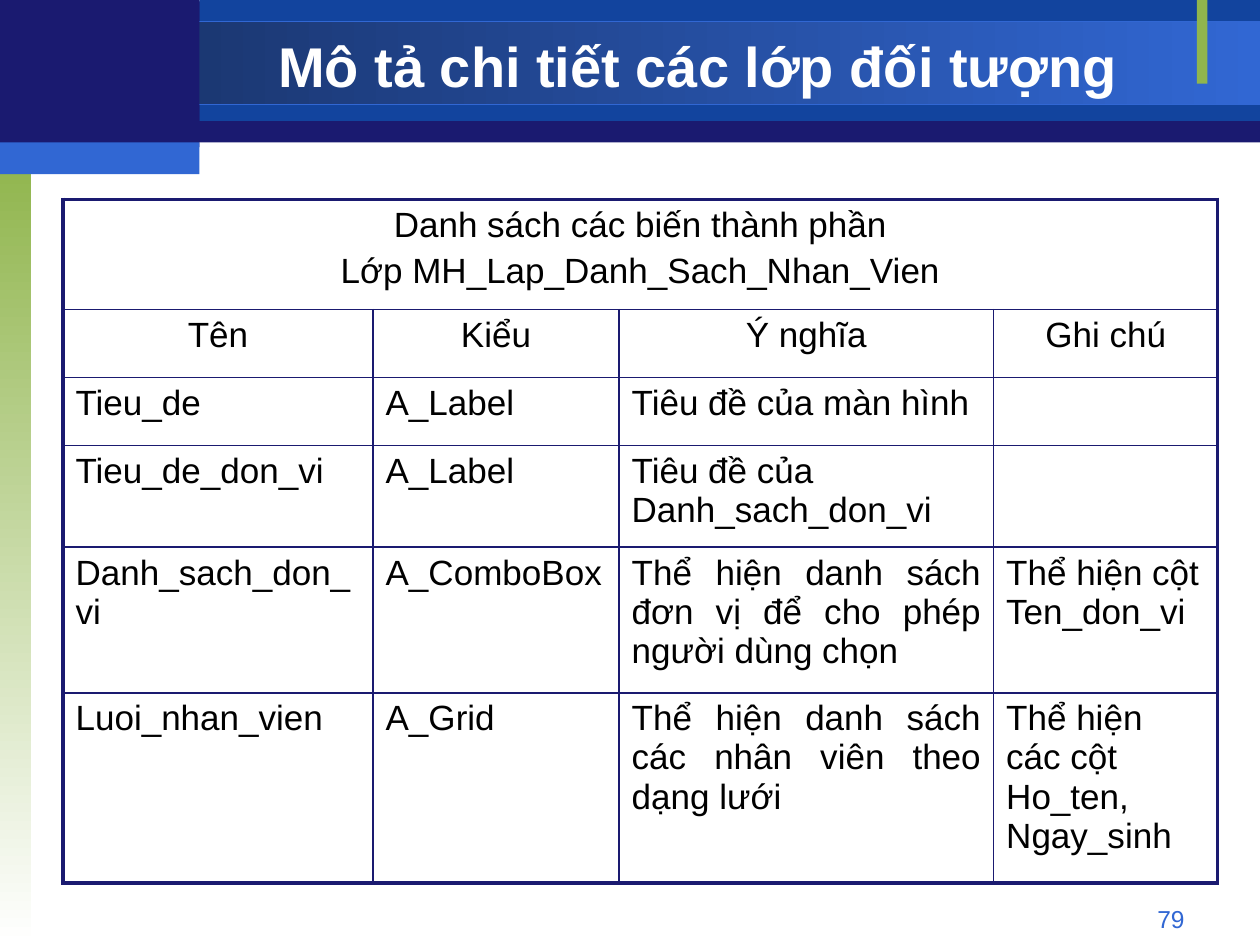
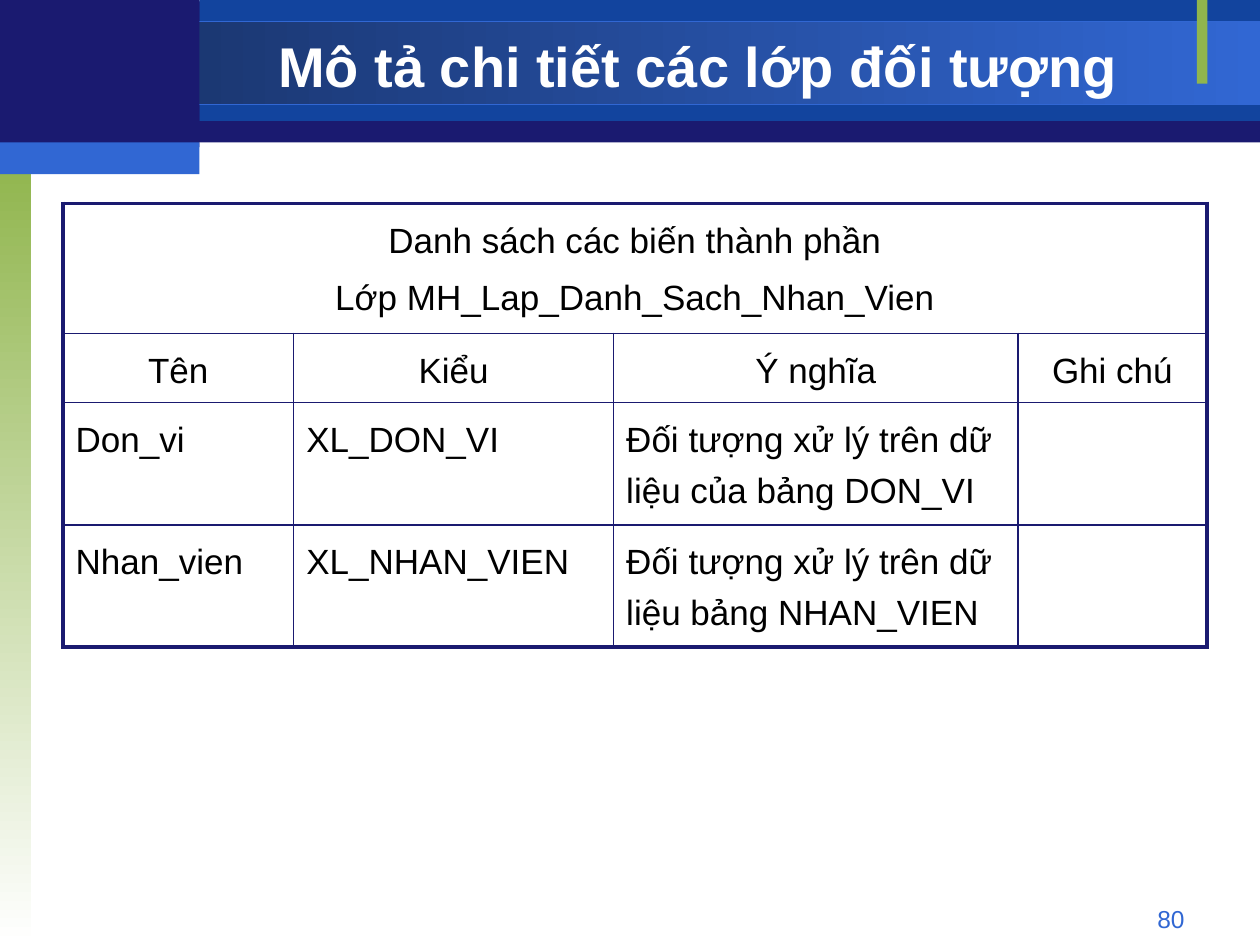
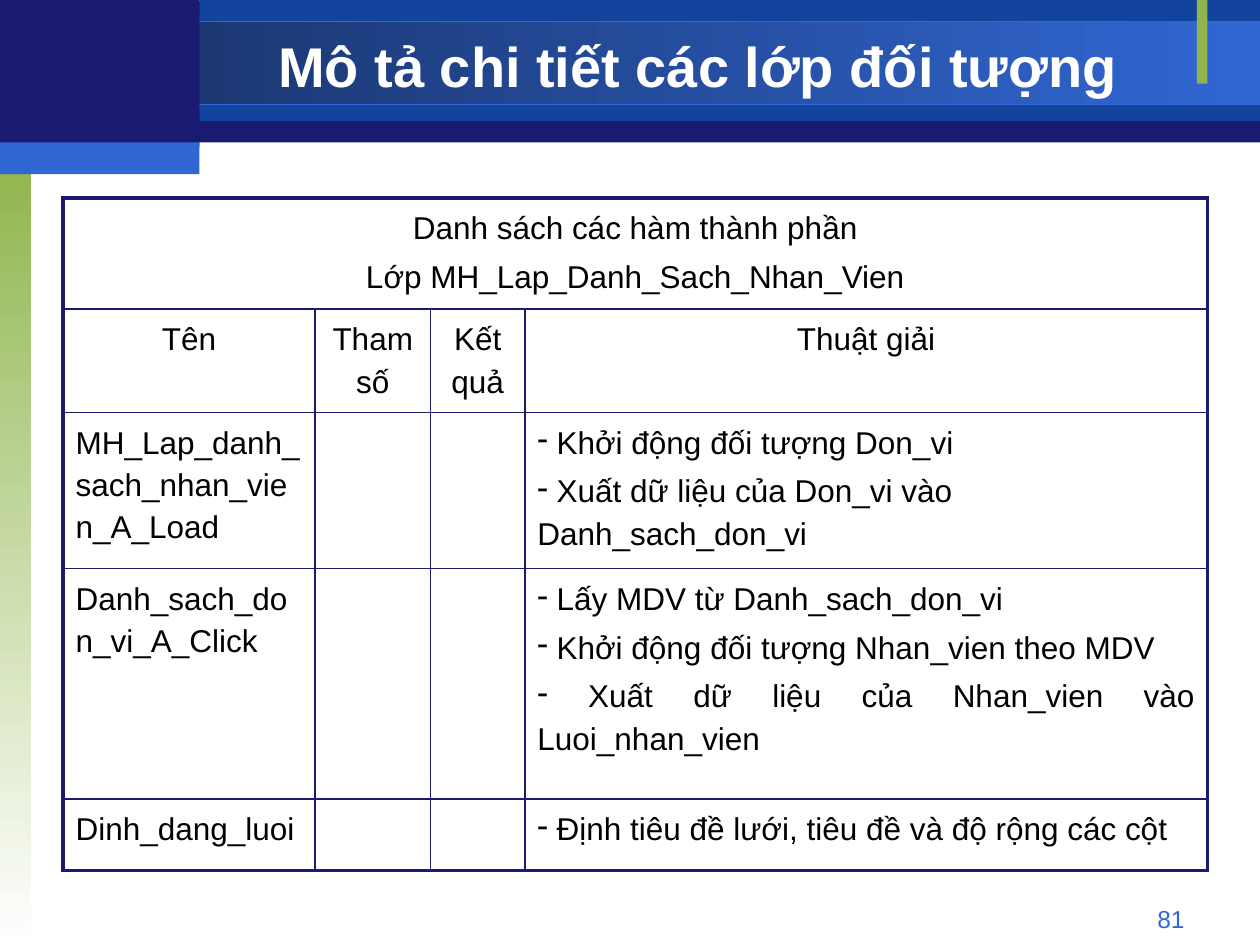
from dataclasses import dataclass

from lxml.etree import SubElement
from pptx import Presentation
from pptx.dml.color import RGBColor
from pptx.enum.shapes import MSO_SHAPE
from pptx.enum.text import MSO_ANCHOR, PP_ALIGN
from pptx.oxml import parse_xml
from pptx.oxml.ns import nsdecls, qn
from pptx.util import Cm, Pt

NAVY = RGBColor(0x1A, 0x1A, 0x70)
ROYAL = RGBColor(0x12, 0x44, 0x9E)
DEEP_BLUE = RGBColor(0x17, 0x2F, 0x61)
BLUE = RGBColor(0x31, 0x67, 0xD3)
GREEN = RGBColor(0x90, 0xB5, 0x4D)
WHITE = RGBColor(0xFF, 0xFF, 0xFF)
BLACK = RGBColor(0x00, 0x00, 0x00)

FONT = "Arial"
PAGE_WIDTH, PAGE_HEIGHT = 25.4, 19.05
CORNER_WIDTH = 4.02
TITLE = "Mô tả chi tiết các lớp đối tượng"
CLASS_NAME = "Lớp MH_Lap_Danh_Sach_Nhan_Vien"
FIRST_NUMBER = 79
THIN, THICK = Pt(1), Pt(2.25)


@dataclass
class ClassTable:
    """Content and measures of one class description; lengths in centimetres."""

    top: float
    widths: list
    heights: list
    rows: list
    justified: set
    size: int = 20
    spacing: float = 1.0


VARIABLES_HEAD = ["Tên", "Kiểu", "Ý nghĩa", "Ghi chú"]
VARIABLES_CAPTION = ["Danh sách các biến thành phần\n" + CLASS_NAME, "", "", ""]

TABLES = [
    ClassTable(
        top=4.02,
        widths=[6.25, 4.96, 7.55, 4.52],
        heights=[2.22, 1.37, 1.37, 2.05, 2.94, 3.83],
        rows=[
            VARIABLES_CAPTION,
            VARIABLES_HEAD,
            ["Tieu_de", "A_Label", "Tiêu đề của màn hình", ""],
            ["Tieu_de_don_vi", "A_Label", "Tiêu đề của Danh_sach_don_vi", ""],
            ["Danh_sach_don_vi", "A_ComboBox",
             "Thể hiện danh sách đơn vị để cho phép người dùng chọn",
             "Thể hiện cột Ten_don_vi"],
            ["Luoi_nhan_vien", "A_Grid",
             "Thể hiện danh sách các nhân viên theo dạng lưới",
             "Thể hiện các cột Ho_ten, Ngay_sinh"],
        ],
        justified={(4, 2), (5, 2)},
    ),
    ClassTable(
        top=4.1,
        widths=[4.65, 6.45, 8.15, 3.81],
        heights=[2.62, 1.4, 2.46, 2.46],
        rows=[
            VARIABLES_CAPTION,
            VARIABLES_HEAD,
            ["Don_vi", "XL_DON_VI",
             "Đối tượng xử lý trên dữ liệu của bảng DON_VI", ""],
            ["Nhan_vien", "XL_NHAN_VIEN",
             "Đối tượng xử lý trên dữ liệu bảng NHAN_VIEN", ""],
        ],
        justified=set(),
        spacing=1.3,
    ),
    ClassTable(
        top=3.99,
        widths=[5.08, 2.33, 1.9, 13.76],
        heights=[2.24, 2.08, 3.15, 4.64, 1.45],
        rows=[
            ["Danh sách các hàm thành phần\n" + CLASS_NAME, "", "", ""],
            ["Tên", "Tham số", "Kết quả", "Thuật giải"],
            ["MH_Lap_danh_sach_nhan_vien_A_Load", "", "",
             "- Khởi động đối tượng Don_vi\n"
             "- Xuất dữ liệu của Don_vi vào Danh_sach_don_vi"],
            ["Danh_sach_don_vi_A_Click", "", "",
             "- Lấy MDV từ Danh_sach_don_vi\n"
             "- Khởi động đối tượng Nhan_vien theo MDV\n"
             "- Xuất dữ liệu của Nhan_vien vào Luoi_nhan_vien"],
            ["Dinh_dang_luoi", "", "",
             "- Định tiêu đề lưới, tiêu đề và độ rộng các cột"],
        ],
        justified={(3, 3), (4, 3)},
        size=18,
        spacing=1.2,
    ),
]


def style_font(paragraph, size, color, bold=False):
    """Set the font of a whole paragraph."""
    font = paragraph.font
    font.name, font.size, font.bold = FONT, Pt(size), bold
    font.color.rgb = color


def add_band(page, left, top, width, height, color, fade=None, angle=0):
    """Add a rectangle, plain or fading from color to fade."""
    band = page.shapes.add_shape(
        MSO_SHAPE.RECTANGLE, Cm(left), Cm(top), Cm(width), Cm(height))
    band.shadow.inherit = False
    band.line.fill.background()
    if fade is None:
        band.fill.solid()
        band.fill.fore_color.rgb = color
    else:
        band.fill.gradient()
        band.fill.gradient_angle = angle
        for stop, shade in zip(band.fill.gradient_stops, (color, fade)):
            stop.color.rgb = shade
    return band


def add_frame(page):
    """Draw the header bands, the corner block and the fading side strip."""
    add_band(page, 0, 0.03, PAGE_WIDTH, 2.84, NAVY)
    add_band(page, CORNER_WIDTH, 0, PAGE_WIDTH - CORNER_WIDTH, 2.44, ROYAL)
    title_band = add_band(page, 0, 0.43, PAGE_WIDTH, 1.68, DEEP_BLUE, BLUE)
    title_band.line.color.rgb = BLUE
    title_band.line.width = Pt(0.75)
    add_band(page, 0, 3.18, 0.63, PAGE_HEIGHT - 3.18, GREEN, WHITE, 270)
    add_band(page, 24.13, 0, 0.21, 1.69, GREEN)
    add_band(page, 0, 0, CORNER_WIDTH, 2.97, NAVY)
    add_band(page, 0, 2.87, CORNER_WIDTH, 0.64, BLUE)


def add_label(page, left, top, width, height, text, size, color, align, bold=False):
    """Add a one-paragraph text box."""
    box = page.shapes.add_textbox(Cm(left), Cm(top), Cm(width), Cm(height))
    frame = box.text_frame
    frame.word_wrap = True
    frame.vertical_anchor = MSO_ANCHOR.MIDDLE if bold else MSO_ANCHOR.TOP
    paragraph = frame.paragraphs[0]
    paragraph.text = text
    paragraph.alignment = align
    style_font(paragraph, size, color, bold)


def set_borders(cell, left, right, top, bottom):
    """Give the four sides of a cell their line widths."""
    properties = cell._tc.get_or_add_tcPr()
    sides = zip("LRTB", (left, right, top, bottom))
    for index, (side, width) in enumerate(sides):
        properties.insert(index, parse_xml(
            f'<a:ln{side} {nsdecls("a")} w="{width}"><a:solidFill>'
            f'<a:srgbClr val="{NAVY}"/></a:solidFill></a:ln{side}>'))


def fill_cell(cell, text, align, size, spacing):
    """Write the lines of a cell, turning a leading dash into a bullet."""
    frame = cell.text_frame
    for index, line in enumerate(text.split("\n")):
        paragraph = frame.add_paragraph() if index else frame.paragraphs[0]
        paragraph.alignment = align
        paragraph.line_spacing = spacing
        paragraph.space_before = Pt(size * 0.2)
        if line.startswith("-"):
            line = line[1:]
            bullet = SubElement(paragraph._p.get_or_add_pPr(), qn("a:buChar"))
            bullet.set("char", "-")
        paragraph.text = line
        style_font(paragraph, size, BLACK)


def add_class_table(page, left, content):
    """Draw a class table with a merged caption and a thick outline."""
    last_row, last_column = len(content.rows) - 1, len(content.widths) - 1
    table = page.shapes.add_table(
        last_row + 1, last_column + 1, Cm(left), Cm(content.top),
        Cm(sum(content.widths)), Cm(sum(content.heights))).table
    table.first_row = table.horz_banding = False
    for column, width in zip(table.columns, content.widths):
        column.width = Cm(width)
    for row, height in zip(table.rows, content.heights):
        row.height = Cm(height)
    table.cell(0, 0).merge(table.cell(0, last_column))
    for y, texts in enumerate(content.rows):
        for x, text in enumerate(texts):
            cell = table.cell(y, x)
            cell.fill.background()
            set_borders(
                cell,
                THICK if x == 0 else THIN,
                THICK if x == last_column or cell.is_merge_origin else THIN,
                THICK if y == 0 else THIN,
                THICK if y == last_row else THIN)
            if y < 2:
                align = PP_ALIGN.CENTER
            elif (y, x) in content.justified:
                align = PP_ALIGN.JUSTIFY
            else:
                align = PP_ALIGN.LEFT
            fill_cell(cell, text, align, content.size, content.spacing)


def add_class_page(deck, number, content):
    """Add one numbered page with its title and class table."""
    page = deck.slides.add_slide(deck.slide_layouts[6])
    add_frame(page)
    add_label(page, 18.21, 18.1, 5.92, 0.69, str(number), 14, BLUE, PP_ALIGN.RIGHT)
    add_label(page, CORNER_WIDTH, 0.58, 20.11, 1.48, TITLE, 32, WHITE,
              PP_ALIGN.CENTER, bold=True)
    add_class_table(page, 1.27, content)


def main():
    """Build the deck and save it."""
    deck = Presentation()
    deck.slide_width, deck.slide_height = Cm(PAGE_WIDTH), Cm(PAGE_HEIGHT)
    for number, content in enumerate(TABLES, FIRST_NUMBER):
        add_class_page(deck, number, content)
    deck.save("out.pptx")


if __name__ == "__main__":
    main()
